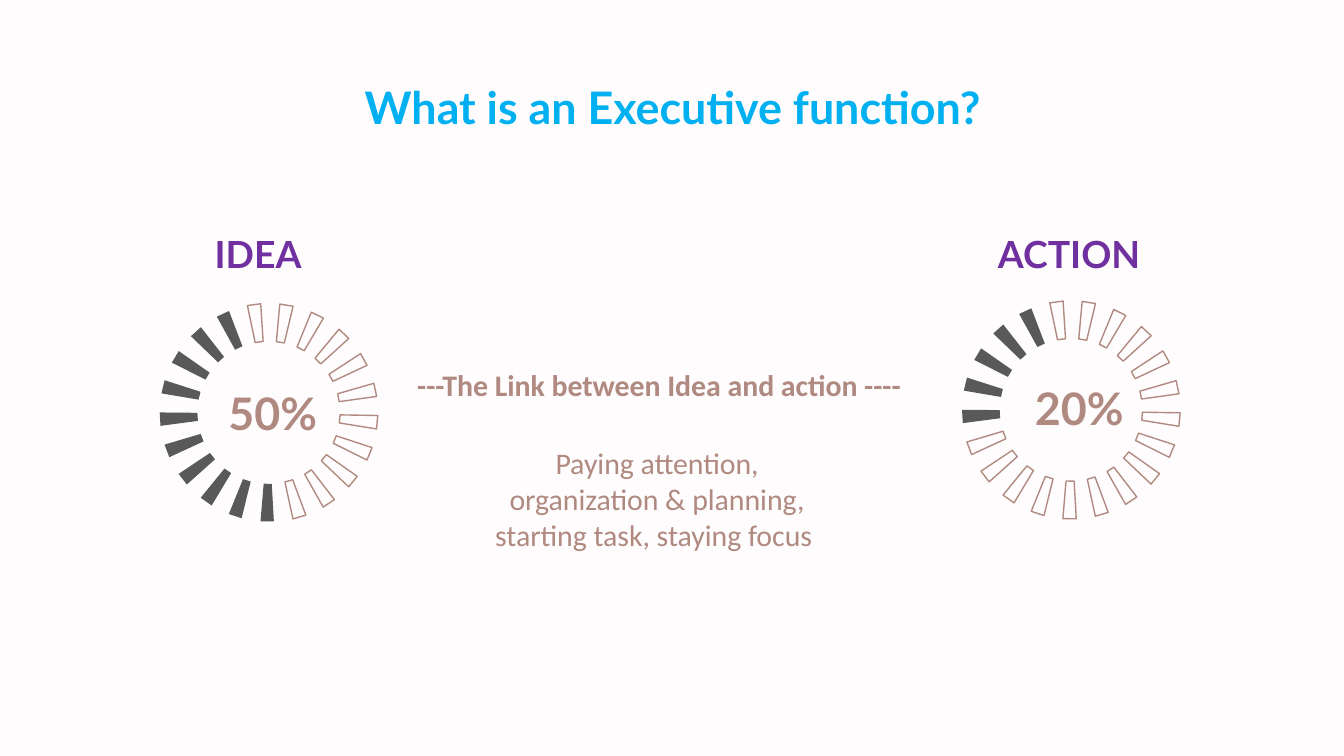
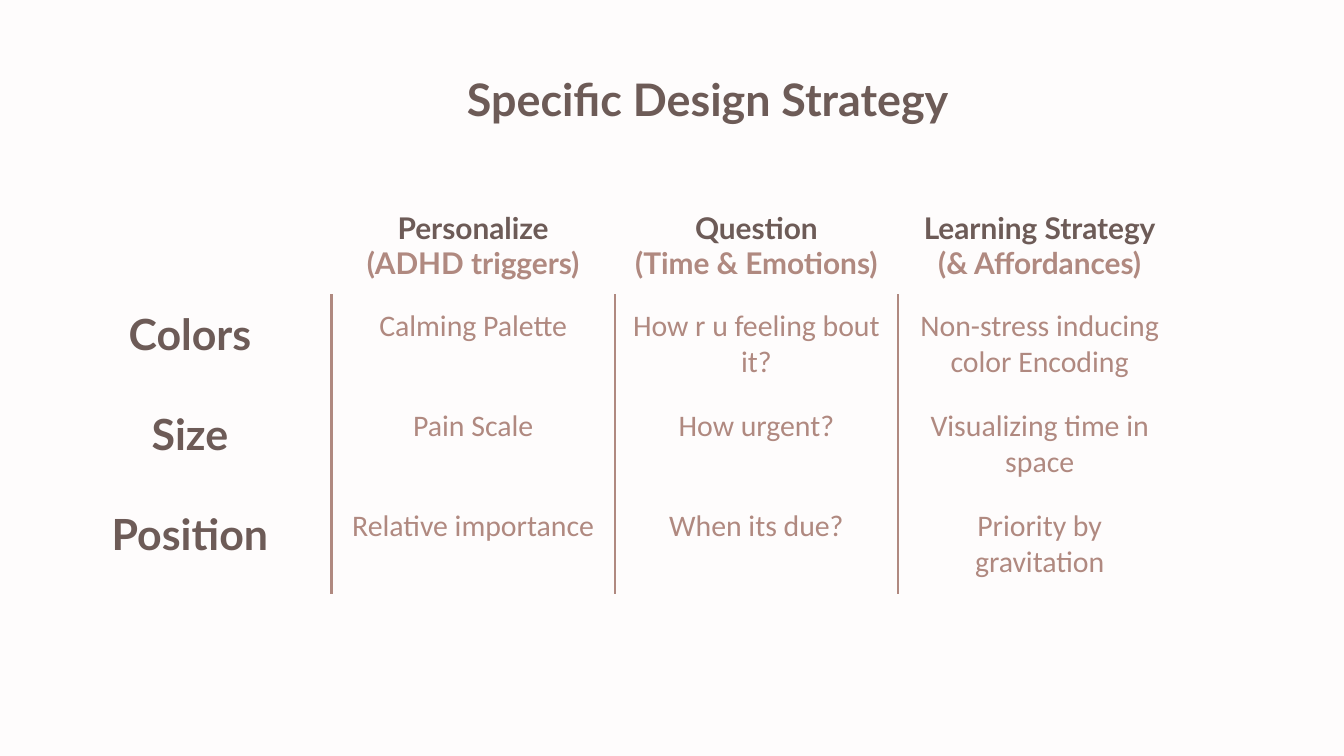
"""Build two slides on executive function and a design strategy."""
import math

from lxml import etree
from pptx import Presentation
from pptx import util as u
from pptx.dml.color import RGBColor
from pptx.enum import text
from pptx.oxml.ns import qn

BACKGROUND, BACKGROUND_ALPHA = "F2E1D8", 7
ROSE, BROWN, GRAY = "B08980", "6D5B57", "595959"
BLUE, PURPLE = "00B0F0", "7030A0"
HEADING, BODY = "Lato", "Calibri"

TICKS, START_ANGLE = 21, 245.1
INNER_RADIUS, OUTER_RADIUS = 0.53, 0.81
INNER_HALF, OUTER_HALF = 0.03, 0.05

HEADERS = [
    ("Personalize", "(ADHD triggers)"),
    ("Question", "(Time & Emotions)"),
    ("Learning Strategy", "(& Affordances)"),
]
ROWS = [
    ("Colors", "Calming Palette", "How r u feeling bout it?",
     "Non-stress inducing color Encoding"),
    ("Size", "Pain Scale", "How urgent?", "Visualizing time in space"),
    ("Position", "Relative importance", "When its due?",
     "Priority by gravitation"),
]


def rgb(value):
    """Return the colour for a hex string."""
    return RGBColor.from_string(value)


def write(frame, *lines, colors=(ROSE,), size=16, font=BODY, bold=False, after=0):
    """Write centred paragraphs, the last colour serving any further lines."""
    for index, line in enumerate(lines):
        paragraph = frame.add_paragraph() if index else frame.paragraphs[0]
        paragraph.alignment = text.PP_ALIGN.CENTER
        paragraph.space_before, paragraph.space_after = u.Pt(0), u.Pt(after)
        run = paragraph.add_run()
        run.text = line
        run.font.name, run.font.size, run.font.bold = font, u.Pt(size), bold
        run.font.color.rgb = rgb(colors[min(index, len(colors) - 1)])


def set_margins(target):
    """Give a text frame or table cell equal margins and top alignment."""
    target.margin_left = target.margin_right = u.Inches(0.1)
    target.margin_top = target.margin_bottom = u.Inches(0.1)
    target.vertical_anchor = text.MSO_ANCHOR.TOP


def fill_box(shape, box, *lines, **style):
    """Place a text shape and write its formatted text."""
    shape.left, shape.top, shape.width, shape.height = map(u.Inches, box)
    frame = shape.text_frame
    frame.word_wrap = True
    frame.auto_size = text.MSO_AUTO_SIZE.NONE
    set_margins(frame)
    write(frame, *lines, **style)


def add_label(slide, box, label, **style):
    """Add a text box with a label."""
    shape = slide.shapes.add_textbox(*map(u.Inches, box))
    fill_box(shape, box, label, **style)


def set_background(slide):
    """Give a slide the shared translucent background."""
    fill = slide.background.fill
    fill.solid()
    fill.fore_color.rgb = rgb(BACKGROUND)
    color = next(slide.element.iter(qn("a:srgbClr")))
    etree.SubElement(color, qn("a:alpha"), val=str(BACKGROUND_ALPHA * 1000))


def add_slide(presentation, layout, title, box, color):
    """Add a slide with the shared background and title style."""
    slide = presentation.slides.add_slide(presentation.slide_layouts[layout])
    set_background(slide)
    fill_box(slide.shapes.title, box, title, colors=(color,), size=24,
             font=HEADING, bold=True)
    return slide


def tick_points(center_x, center_y, angle):
    """Return the four corners of a dial tick."""
    cosine, sine = math.cos(angle), math.sin(angle)
    corners = [(INNER_RADIUS, -INNER_HALF), (OUTER_RADIUS, -OUTER_HALF),
               (OUTER_RADIUS, OUTER_HALF), (INNER_RADIUS, INNER_HALF)]
    return [(u.Inches(center_x + radius * cosine - side * sine),
             u.Inches(center_y + radius * sine + side * cosine))
            for radius, side in corners]


def add_dial(slide, center_x, center_y, filled):
    """Draw a ring of ticks, the first ones filled counterclockwise."""
    group = slide.shapes.add_group_shape()
    for index in range(TICKS):
        angle = math.radians(START_ANGLE - index * 360 / TICKS)
        points = tick_points(center_x, center_y, angle)
        builder = group.shapes.build_freeform(*points[0])
        builder.add_line_segments(points[1:], close=True)
        tick = builder.convert_to_shape()
        tick.shadow.inherit = False
        if index < filled:
            tick.fill.solid()
            tick.fill.fore_color.rgb = rgb(GRAY)
            tick.line.fill.background()
        else:
            tick.fill.background()
            tick.line.color.rgb = rgb(ROSE)
            tick.line.width = u.Pt(0.75)


def set_borders(cell, sides):
    """Draw the named sides of a cell and hide the others."""
    properties = cell._tc.get_or_add_tcPr()
    for index, side in enumerate("LRTB"):
        line = etree.Element(qn(f"a:ln{side}"))
        if side in sides:
            line.set("w", str(u.Pt(1.5)))
            fill = etree.SubElement(line, qn("a:solidFill"))
            etree.SubElement(fill, qn("a:srgbClr"), val=ROSE)
        else:
            etree.SubElement(line, qn("a:noFill"))
        properties.insert(index, line)


def add_strategy_table(slide):
    """Add the strategy table with vertical rules below its header."""
    row_count, column_count = len(ROWS) + 1, len(HEADERS) + 1
    box = (0.36, 1.46, 8.43, 3.2)
    frame = slide.shapes.add_table(row_count, column_count, *map(u.Inches, box))
    table = frame.table
    table.first_row = table.horz_banding = False
    for row_index, values in enumerate([("", *HEADERS), *ROWS]):
        table.rows[row_index].height = u.Inches(0.6)
        for column_index, value in enumerate(values):
            cell = table.cell(row_index, column_index)
            cell.fill.background()
            set_margins(cell)
            sides = ""
            if row_index:
                sides += "L" if column_index else ""
                sides += "R" if column_index < column_count - 1 else ""
            set_borders(cell, sides)
            if not value:
                continue
            if not row_index:
                write(cell.text_frame, *value, colors=(BROWN, ROSE),
                      font=HEADING, bold=True)
            elif not column_index:
                write(cell.text_frame, value, colors=(BROWN,), size=23,
                      font=HEADING, bold=True)
            else:
                write(cell.text_frame, value)
    frame.height = u.Inches(box[3])


def build_function_slide(presentation):
    """Show the way from idea to action between two dials."""
    slide = add_slide(presentation, 0, "What is an Executive function?",
                      (0.79, 0.49, 8.43, 0.63), BLUE)
    fill_box(slide.placeholders[1], (3.55, 3.21, 2.68, 0.96),
             "Paying attention, organization & planning, "
             "starting task, staying focus ", after=16)
    add_label(slide, (2.77, 2.63, 4.27, 0.96),
              "---The Link between Idea and action ----", bold=True, after=16)
    add_dial(slide, 2, 3.07, 10)
    add_dial(slide, 7.97, 3.05, 5)
    heading = {"font": HEADING, "bold": True}
    for box, label in [((0.63, 1.62, 2.58, 0.58), "IDEA"),
                       ((6.79, 1.62, 2.33, 0.58), "ACTION")]:
        add_label(slide, box, label, colors=(PURPLE,), size=20, **heading)
    for box, label in [((1.05, 2.77, 1.96, 0.58), "50%"),
                       ((7.05, 2.73, 1.96, 0.58), "20%")]:
        add_label(slide, box, label, size=24, **heading)


def build_strategy_slide(presentation):
    """Show the design strategy table."""
    slide = add_slide(presentation, 5, "Specific Design Strategy",
                      (1.05, 0.43, 8.43, 0.63), BROWN)
    add_strategy_table(slide)


def main():
    """Build and save the presentation."""
    presentation = Presentation()
    presentation.slide_width = u.Inches(10)
    presentation.slide_height = presentation.slide_width * 9 // 16
    build_function_slide(presentation)
    build_strategy_slide(presentation)
    presentation.save("out.pptx")


main()
